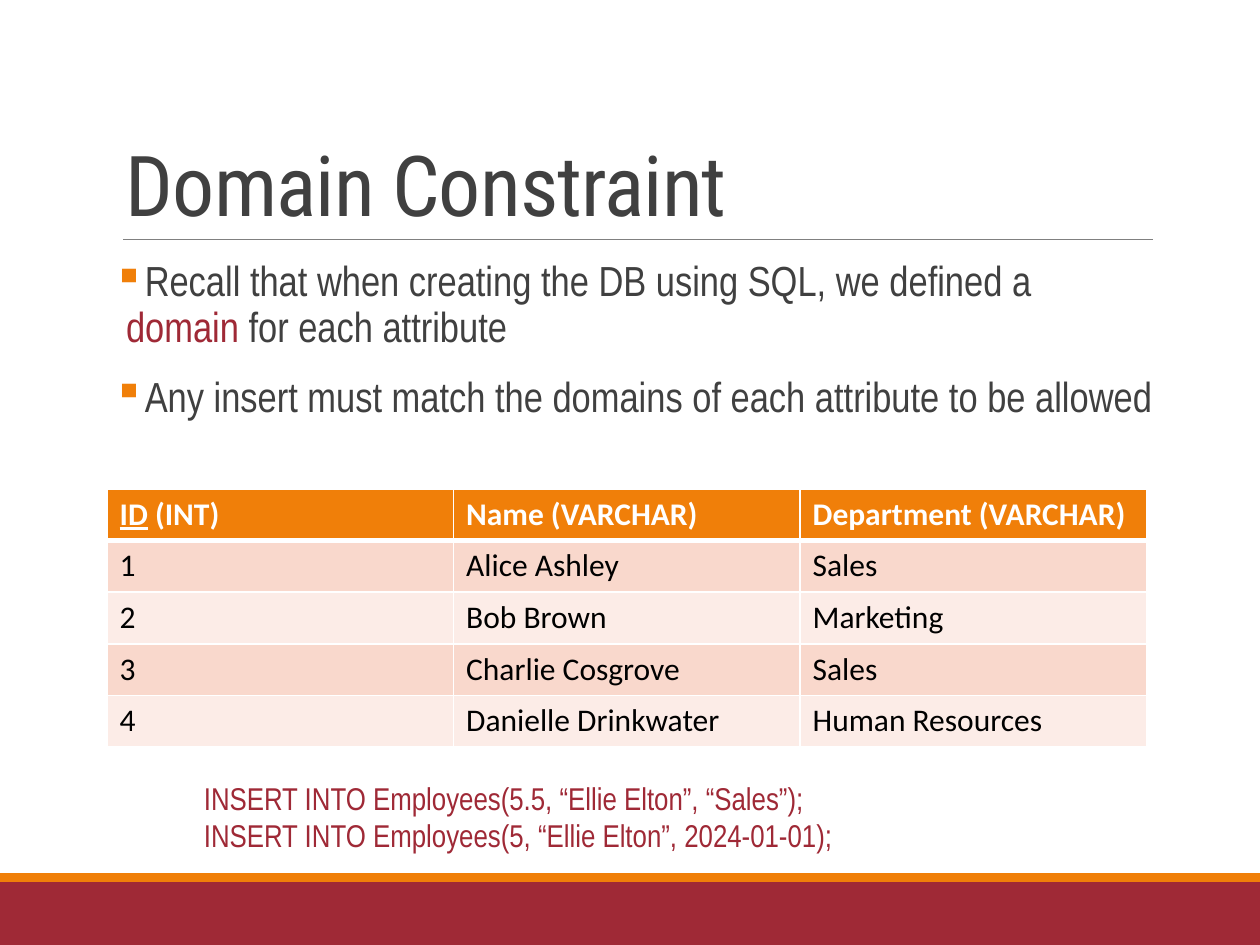
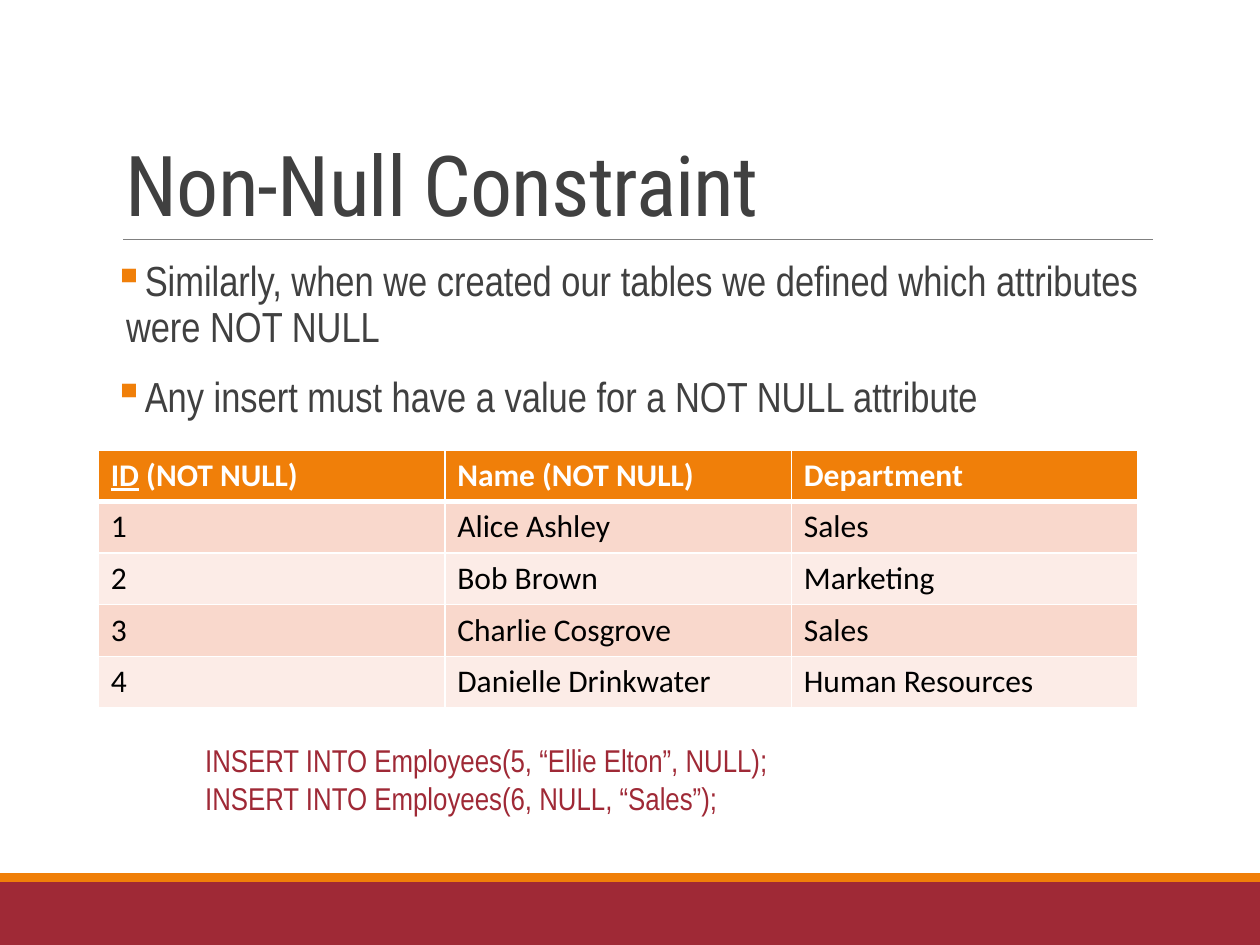
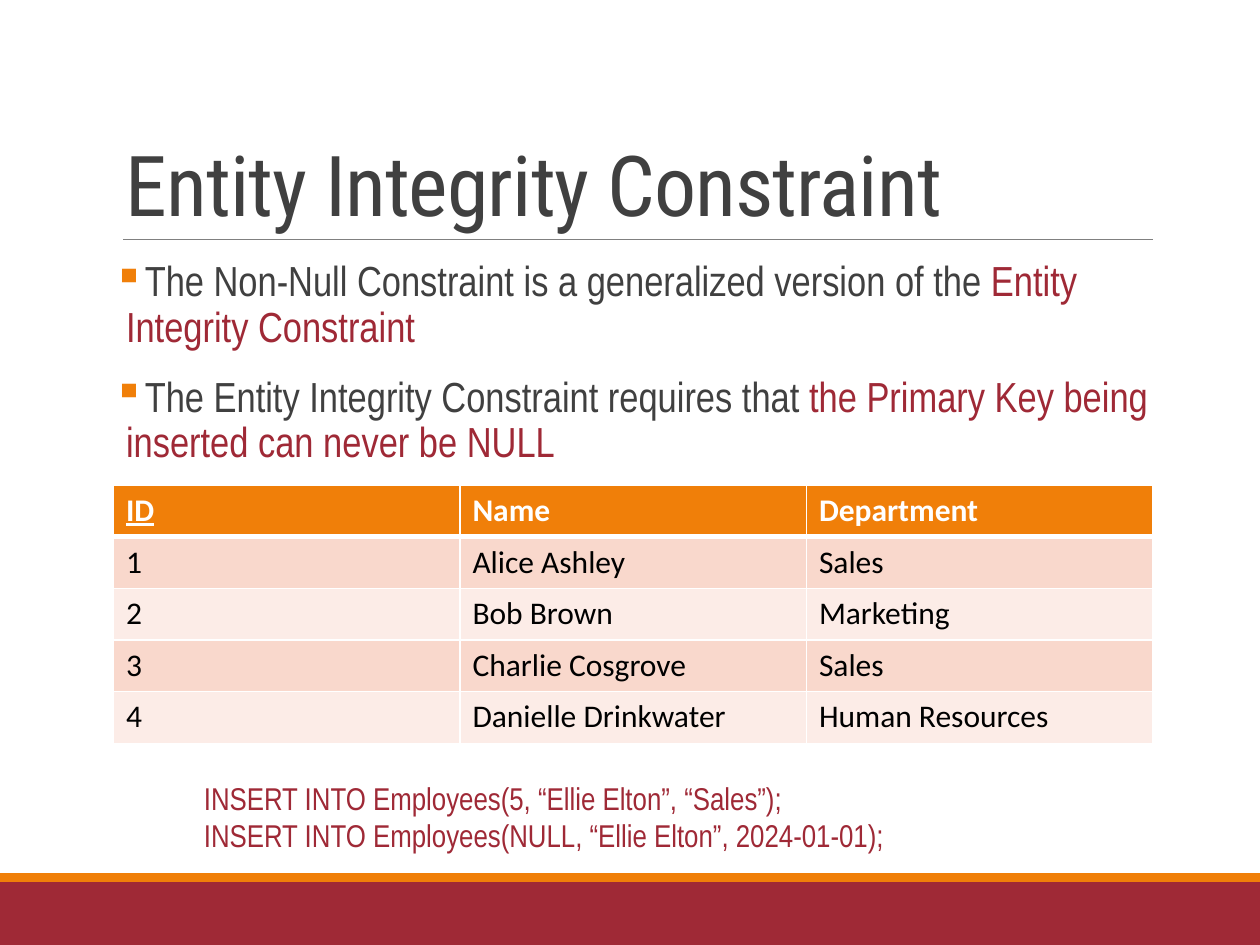
from lxml import etree
from pptx import Presentation
from pptx import util as u
from pptx.dml.color import RGBColor
from pptx.enum import shapes, text
from pptx.oxml import ns

RED, ORANGE, GREY, RULE = "9F2936", "F07F09", "404040", "808080"
WHITE, BLACK = "FFFFFF", "000000"
STRIPES = ["F9D8CC", "FCECE7"]
TITLE = {"size": u.Pt(48), "name": "Roboto Condensed", "color": GREY}
BODY = {"size": u.Pt(24), "name": "Arial Narrow", "color": GREY}
KEY_TERM = {**BODY, "color": RED}
STATEMENT = {"size": u.Pt(18), "name": "Arial Narrow", "color": RED}
CELL = {"size": u.Pt(18), "name": "Calibri", "color": BLACK, "bold": False}
HEADER = {**CELL, "color": WHITE, "bold": True}
PRIMARY_KEY = {**HEADER, "underline": True}

BANDS = [(7, 0.5, RED), (6.93, 0.07, ORANGE)]
TITLE_AT = (0.9, 0.31, 8.25, 1.59)
BODY_AT = (0.9, 2.02, 8.25, 4.4)
STATEMENT_SIZE = (6.3, 0.71)
TABLE_WIDTH, ROW_HEIGHT = 8.25, 0.41

EMPLOYEES = [
    ("1", "Alice Ashley", "Sales"),
    ("2", "Bob Brown", "Marketing"),
    ("3", "Charlie Cosgrove", "Sales"),
    ("4", "Danielle Drinkwater", "Human Resources"),
]

SLIDES = [
    {
        "title": "Domain Constraint",
        "bullets": [
            [("Recall that when creating the DB using SQL, we defined a ", BODY),
             ("domain", KEY_TERM), (" for each attribute", BODY)],
            [("Any insert must match the domains of each attribute to be allowed", BODY)],
        ],
        "columns": [[("ID", PRIMARY_KEY), (" (INT)", HEADER)],
                    [("Name (VARCHAR)", HEADER)], [("Department (VARCHAR)", HEADER)]],
        "table_at": (0.85, 3.88),
        "statements": ["INSERT INTO Employees(5.5, “Ellie Elton”, “Sales”);",
                       "INSERT INTO Employees(5, “Ellie Elton”, 2024-01-01);"],
        "statements_at": (1.52, 6.13),
    },
    {
        "title": "Non-Null Constraint",
        "bullets": [
            [("Similarly, when we created our tables we defined which attributes were NOT NULL", BODY)],
            [("Any insert must have a value for a NOT NULL attribute", BODY)],
        ],
        "columns": [[("ID", PRIMARY_KEY), (" (NOT NULL)", HEADER)],
                    [("Name (NOT NULL)", HEADER)], [("Department", HEADER)]],
        "table_at": (0.78, 3.57),
        "statements": ["INSERT INTO Employees(5, “Ellie Elton”, NULL);",
                       "INSERT INTO Employees(6, NULL, “Sales”);"],
        "statements_at": (1.53, 5.83),
    },
    {
        "title": "Entity Integrity Constraint",
        "bullets": [
            [("The Non-Null Constraint is a generalized version of the ", BODY),
             ("Entity Integrity Constraint", KEY_TERM)],
            [("The Entity Integrity Constraint requires that ", BODY),
             ("the Primary Key being inserted can never be NULL", KEY_TERM)],
        ],
        "columns": [[("ID", PRIMARY_KEY)], [("Name", HEADER)], [("Department", HEADER)]],
        "table_at": (0.9, 3.85),
        "statements": ["INSERT INTO Employees(5, “Ellie Elton”, “Sales”);",
                       "INSERT INTO Employees(NULL, “Ellie Elton”, 2024-01-01);"],
        "statements_at": (1.52, 6.13),
    },
]


def rgb(value):
    return RGBColor.from_string(value)


def inches(values):
    return [u.Inches(value) for value in values]


def sub(parent, tag, **attributes):
    return etree.SubElement(parent, ns.qn(tag), attributes)


def write_spans(para, spans):
    for words, style in spans:
        span = para.add_run()
        span.text = words
        for name, value in style.items():
            if name == "color":
                span.font.color.rgb = rgb(value)
            else:
                setattr(span.font, name, value)


def add_text(page, at, paragraphs, **frame_format):
    frame = page.shapes.add_textbox(*inches(at)).text_frame
    for name, value in {"word_wrap": True, **frame_format}.items():
        setattr(frame, name, value)
    for index, spans in enumerate(paragraphs):
        para = frame.add_paragraph() if index else frame.paragraphs[0]
        write_spans(para, spans)
    return frame.paragraphs


def add_backdrop(page):
    for top, height, color in BANDS:
        band = page.shapes.add_shape(shapes.MSO_SHAPE.RECTANGLE, *inches((0, top, 10, height)))
        band.shadow.inherit = False
        band.fill.solid()
        band.fill.fore_color.rgb = rgb(color)
        band.line.fill.background()
    rule = page.shapes.add_connector(shapes.MSO_CONNECTOR.STRAIGHT, *inches((0.98, 1.9, 9.15, 1.9)))
    rule.line.color.rgb = rgb(RULE)
    rule.line.width = u.Pt(0.5)
    sub(rule.element.spPr, "a:effectLst")


def add_title(page, title):
    para = add_text(page, TITLE_AT, [[(title, TITLE)]],
                    vertical_anchor=text.MSO_ANCHOR.BOTTOM)[0]
    para.line_spacing = 0.85
    para.runs[0].font._element.set("spc", "-50")


def add_bullets(page, bullets):
    paragraphs = add_text(page, BODY_AT, bullets, margin_left=0, margin_right=0)
    indent = u.Inches(0.1)
    for index, para in enumerate(paragraphs):
        properties = para._p.get_or_add_pPr()
        properties.set("marL", str(indent))
        properties.set("indent", str(-indent))
        sub(sub(properties, "a:buClr"), "a:srgbClr", val=ORANGE)
        sub(properties, "a:buChar", char="▪")
        para.line_spacing = 0.9
        para.space_before = u.Pt(12 if index else 0)
        para.space_after = u.Pt(2)


def format_cell(cell, fill, row):
    properties = cell._tc.get_or_add_tcPr()
    widths = {"L": 1, "R": 1, "T": 3 if row == 1 else 1, "B": 3 if row == 0 else 1}
    for side, width in widths.items():
        border = sub(properties, f"a:ln{side}", w=str(u.Pt(width)))
        sub(sub(border, "a:solidFill"), "a:srgbClr", val=WHITE)
    cell.fill.solid()
    cell.fill.fore_color.rgb = rgb(fill)


def add_employees(page, at, columns):
    rows = [columns] + [[[(value, CELL)] for value in employee] for employee in EMPLOYEES]
    size = (TABLE_WIDTH, ROW_HEIGHT * len(rows))
    table = page.shapes.add_table(len(rows), len(columns), *inches(at + size)).table
    for row, cells in enumerate(rows):
        fill = STRIPES[(row - 1) % 2] if row else ORANGE
        for column, spans in enumerate(cells):
            cell = table.cell(row, column)
            format_cell(cell, fill, row)
            write_spans(cell.text_frame.paragraphs[0], spans)


def main():
    deck = Presentation()
    deck.slide_width, deck.slide_height = inches((10, 7.5))
    for content in SLIDES:
        page = deck.slides.add_slide(deck.slide_layouts[6])
        add_backdrop(page)
        add_title(page, content["title"])
        add_bullets(page, content["bullets"])
        add_employees(page, content["table_at"], content["columns"])
        add_text(page, content["statements_at"] + STATEMENT_SIZE,
                 [[(line, STATEMENT)] for line in content["statements"]],
                 auto_size=text.MSO_AUTO_SIZE.SHAPE_TO_FIT_TEXT)
    deck.save("out.pptx")


if __name__ == "__main__":
    main()
